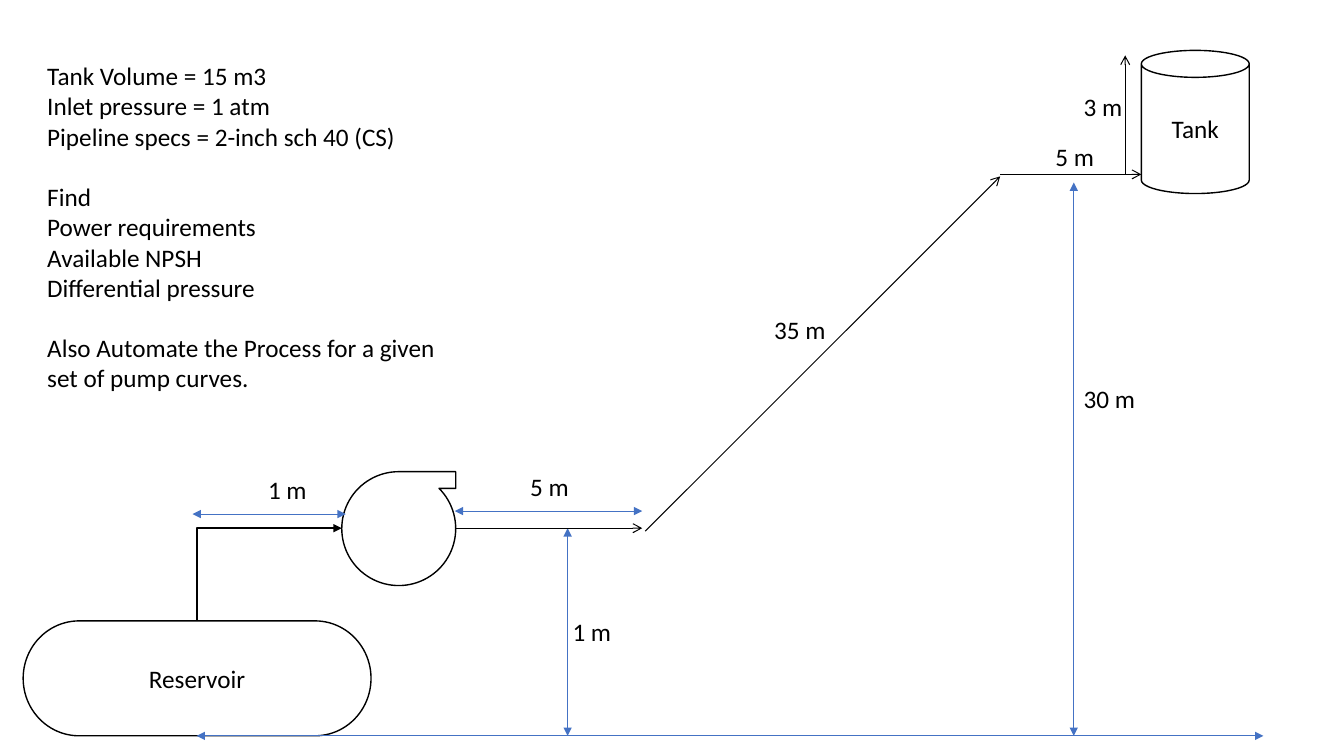
from pptx import Presentation
from pptx.dml.color import RGBColor
from pptx.enum.shapes import MSO_CONNECTOR, MSO_SHAPE
from pptx.enum.text import MSO_ANCHOR, PP_ALIGN
from pptx.oxml.ns import qn
from pptx.util import Inches, Pt
from lxml.etree import SubElement

THEME = {
    "font": "Calibri", "size": 18, "gap": 21.6,
    "ink": RGBColor(0, 0, 0), "paper": RGBColor(255, 255, 255),
    "blue": RGBColor(0x44, 0x72, 0xC4),
    "edge": 1, "bend": 1.5, "pipe": 0.75, "span": 0.5,
}

BRIEF = [
    ["Tank Volume = 15 m3", "Inlet pressure = 1 atm",
     "Pipeline specs = 2-inch sch 40 (CS)"],
    ["Find", "Power requirements", "Available NPSH", "Differential pressure"],
    ["Also Automate the Process for a given set of pump curves."],
]
LABELS = [
    ("30 m", 10.65, 3.75), ("1 m", 5.58, 6.07), ("1 m", 2.56, 4.66),
    ("5 m", 5.16, 4.63), ("35 m", 7.58, 3.07), ("5 m", 10.37, 1.35),
    ("3 m", 10.65, 0.86),
]
UNITS = [
    ("", MSO_SHAPE.FLOWCHART_SEQUENTIAL_ACCESS_STORAGE, (3.39, 4.68, 1.13, 1.13)),
    ("Tank", MSO_SHAPE.CAN, (11.32, 0.5, 1.07, 1.42)),
    ("Reservoir", MSO_SHAPE.FLOWCHART_TERMINATOR, (0.23, 6.16, 3.45, 1.14)),
]
GROUND, AXIS, INLET = 7.3, 5.24, 1.73
SPANS = [
    (10.65, 1.81, 10.65, GROUND), (12.53, GROUND, 1.95, GROUND),
    (5.63, AXIS, 5.63, GROUND), (3.43, 5.1, 1.91, 5.1), (6.37, 5.07, 4.51, 5.07),
]
PIPES = [
    (6.4, 5.27, 9.92, 1.75), (9.92, INLET, 11.32, INLET),
    (4.52, AXIS, 6.37, AXIS), (11.16, INLET, 11.16, 0.55),
]
RISER = (1.95, 6.16, 3.39, AXIS)

deck = Presentation()
deck.slide_width, deck.slide_height = Inches(13.33), Inches(7.5)
slide = deck.slides.add_slide(deck.slide_layouts[6])
shapes = slide.shapes


def write(text, box=None, host=None, align=PP_ALIGN.LEFT, anchor=MSO_ANCHOR.TOP):
    host = host or shapes.add_textbox(*map(Inches, box))
    frame = host.text_frame
    frame.word_wrap = True
    frame.vertical_anchor = anchor
    blocks = [[text]] if isinstance(text, str) else text
    para = frame.paragraphs[0]
    for b, block in enumerate(blocks):
        for n, line in enumerate(block):
            if b or n:
                para = frame.add_paragraph()
            if b and not n:
                para.space_before = Pt(THEME["gap"])
            para.alignment = align
            run = para.add_run()
            run.text = line
            run.font.name = THEME["font"]
            run.font.size = Pt(THEME["size"])
            run.font.color.rgb = THEME["ink"]


def unit(name, kind, box):
    part = shapes.add_shape(kind, *map(Inches, box))
    part.shadow.inherit = False
    part.fill.solid()
    part.fill.fore_color.rgb = THEME["paper"]
    part.line.color.rgb = THEME["ink"]
    part.line.width = Pt(THEME["edge"])
    if name:
        write(name, host=part, align=PP_ALIGN.CENTER, anchor=MSO_ANCHOR.MIDDLE)
    return part


def link(ends, color, width, tail, head=None, kind=MSO_CONNECTOR.STRAIGHT):
    wire = shapes.add_connector(kind, *map(Inches, ends))
    wire.line.color.rgb = THEME[color]
    wire.line.width = Pt(THEME[width])
    props = wire._element.spPr
    for tag, tip in (("a:headEnd", head), ("a:tailEnd", tail)):
        if tip:
            SubElement(props.find(qn("a:ln")), qn(tag), type=tip)
    SubElement(props, qn("a:effectLst"))
    return props


def elbow(x1, y1, x2, y2):
    mid_x, mid_y = (x1 + x2) / 2, (y1 + y2) / 2
    half_w, half_h = abs(y2 - y1) / 2, abs(x2 - x1) / 2
    ends = (mid_x + half_w, mid_y + half_h, mid_x - half_w, mid_y - half_h)
    props = link(ends, "ink", "bend", "triangle", kind=MSO_CONNECTOR.ELBOW)
    props.find(qn("a:xfrm")).set("rot", str(90 * 60000))
    props.find(qn("a:prstGeom")).set("prst", "bentConnector2")


pump, tank = [unit(*item) for item in UNITS[:2]]
pump._element.spPr.find(qn("a:xfrm")).set("flipV", "1")
elbow(*RISER)
unit(*UNITS[2])
for ends in SPANS:
    link(ends, "blue", "span", "triangle", head="triangle")
for ends in PIPES:
    link(ends, "ink", "pipe", "arrow")
for text, x, y in LABELS:
    write(text, box=(x, y, 0.79, 0.4))
write(BRIEF, box=(0.37, 0.55, 4.15, 3.43))

deck.save("out.pptx")
